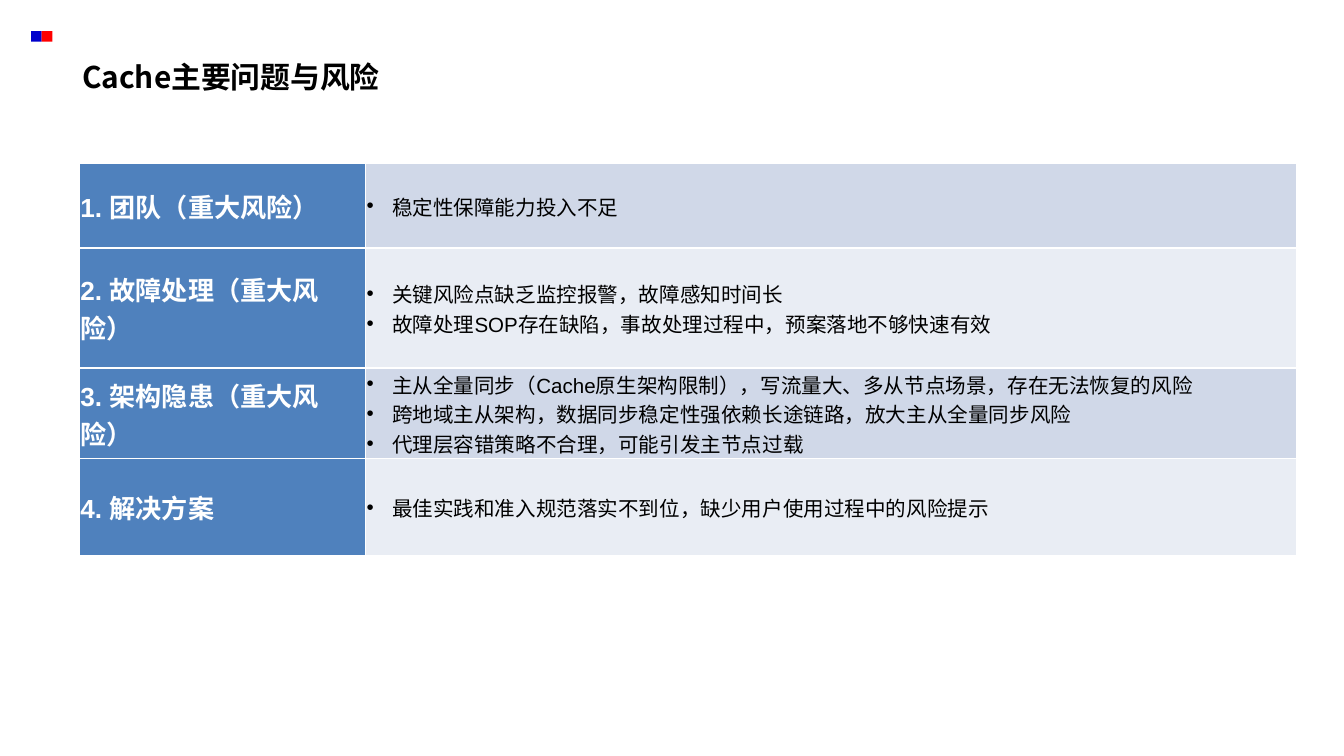
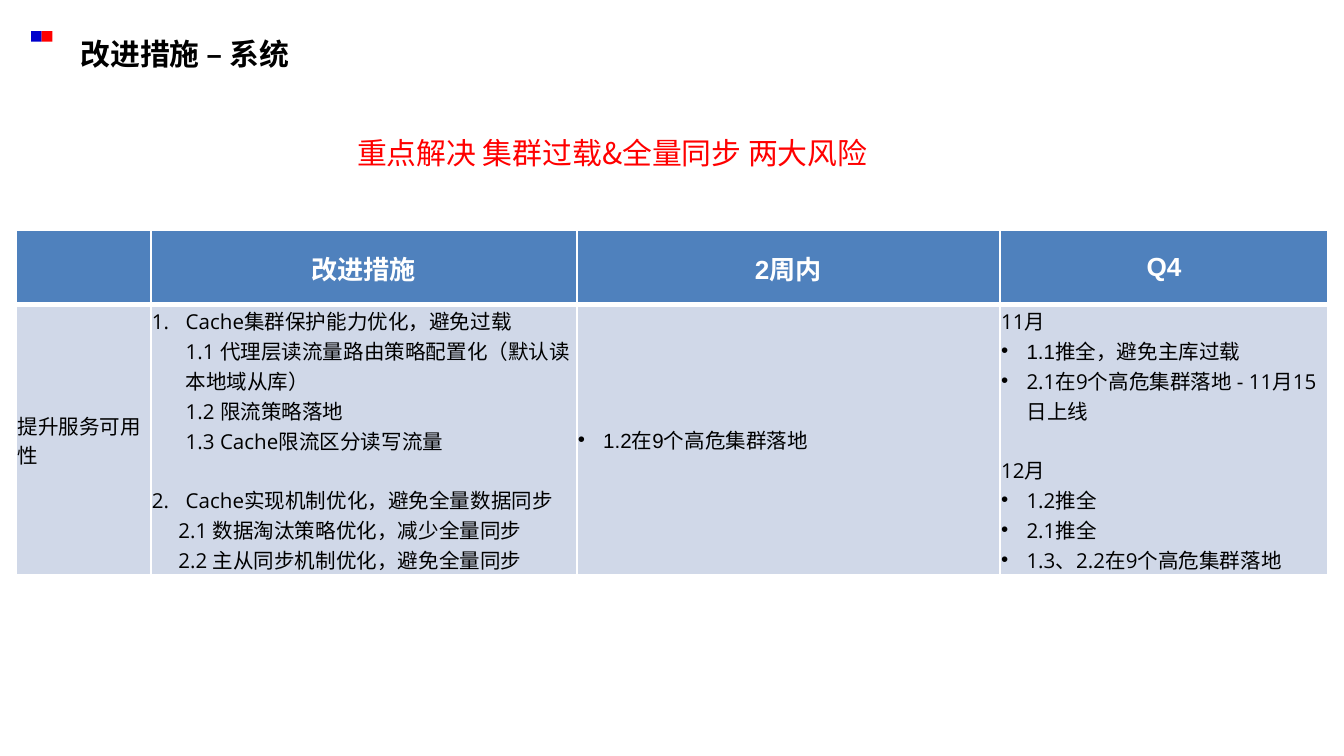
import copy

import lxml.etree
import pptx
import pptx.dml.color
import pptx.enum.shapes
import pptx.enum.text
import pptx.oxml.ns
import pptx.util

Cm, Pt, qn = pptx.util.Cm, pptx.util.Pt, pptx.oxml.ns.qn
ANCHOR, ALIGN = pptx.enum.text.MSO_ANCHOR, pptx.enum.text.PP_ALIGN

WHITE, BLACK, RED, NAVY = "FFFFFF", "000000", "FF0000", "0000CC"
BLUE, BAND_DARK, BAND_LIGHT = "4F81BD", "D0D8E8", "E9EDF4"
CJK, SANS, OPEN = "Noto Sans CJK SC", "Arial", "Open Sans"
HEAD = {"size": Pt(14), "bold": True}
BODY = {"size": Pt(11), "bold": False}
TITLE = {"size": Pt(16), "bold": True, "name": CJK}
NOTE = {"size": Pt(16), "bold": False, "name": CJK}
INSETS = {"margin_left": Cm(0.02), "margin_right": Cm(0.02),
          "margin_top": Cm(0.02), "margin_bottom": Cm(0)}
# Paragraph marks: left margin and first-line indent in cm
INDENTS = {"": (0, 0), "sub": (0.5, 0), "•": (0.48, -0.48),
           "1": (0.64, -0.64), "2": (0.64, -0.64)}
GAP = Pt(15.5)  # one empty line between groups of points


def rgb(value):
    """Turn a hex string into a colour."""
    return pptx.dml.color.RGBColor.from_string(value)


def write(p, text, formats, color):
    """Put text in a paragraph and format its runs and line breaks."""
    p.text = text
    for r in p.runs:
        for name, value in formats.items():
            setattr(r.font, name, value)
        r.font.color.rgb = rgb(color)
        ea = lxml.etree.SubElement(r.font._element, qn("a:ea"))
        ea.set("typeface", CJK)
    for br in p._p.findall(qn("a:br")):
        br.insert(0, copy.deepcopy(p.runs[0].font._element))


# Each body cell is a list of (text, mark, font, space before)
risks = [
    ("1. 团队（重大风险）", ["稳定性保障能力投入不足"]),
    ("2. 故障处理（重大风险）", ["关键风险点缺乏监控报警，故障感知时间长",
                       "故障处理SOP存在缺陷，事故处理过程中，预案落地不够快速有效"]),
    ("3. 架构隐患（重大风险）", ["主从全量同步（Cache原生架构限制），写流量大、多从节点场景，存在无法恢复的风险",
                       "跨地域主从架构，数据同步稳定性强依赖长途链路，放大主从全量同步风险",
                       "代理层容错策略不合理，可能引发主节点过载"]),
    ("4. 解决方案", ["最佳实践和准入规范落实不到位，缺少用户使用过程中的风险提示"]),
]
risk_rows = [[[(label, "", SANS, 0)], [(t, "•", SANS, 0) for t in points]]
             for label, points in risks]

measures = [
    ("Cache集群保护能力优化，避免过载\n1.1 代理层读流量路由策略配置化（默认读本地域从库）\n"
     "1.2 限流策略落地\n1.3 Cache限流区分读写流量", "1", OPEN, 0),
    ("Cache实现机制优化，避免全量数据同步", "2", OPEN, GAP),
    ("2.1 数据淘汰策略优化，减少全量同步", "sub", OPEN, 0),
    ("2.2 主从同步机制优化，避免全量同步", "sub", OPEN, 0),
]
fourth_quarter = [
    ("11月", "", OPEN, 0),
    ("1.1推全，避免主库过载", "•", SANS, 0),
    ("2.1在9个高危集群落地 - 11月15日上线", "•", OPEN, 0),
    ("12月", "", OPEN, GAP),
    ("1.2推全", "•", OPEN, 0),
    ("2.1推全", "•", OPEN, 0),
    ("1.3、2.2在9个高危集群落地", "•", OPEN, 0),
]
plan_rows = [
    [[(t, "", SANS, 0)] for t in ("", "改进措施", "2周内", "Q4")],
    [[("提升服务可用性", "", SANS, 0)], measures,
     [("1.2在9个高危集群落地", "•", SANS, 0)], fourth_quarter],
]

pages = [
    {"title": "Cache主要问题与风险", "title_at": (1.3, 0.74), "table_at": (1.5, 3.08),
     "cols": (5.41, 17.6), "heights": (1.6, 2.27, 1.71, 1.83),
     "rows": risk_rows, "header_row": False},
    {"title": "改进措施 – 系统", "title_at": (1.27, 0.3), "table_at": (0.31, 4.35),
     "cols": (2.54, 8.05, 8, 6.2), "heights": (1.4, 5.08),
     "rows": plan_rows, "header_row": True},
]

prs = pptx.Presentation()
prs.slide_width, prs.slide_height = Cm(25.4), Cm(14.28)

for page in pages:
    slide = prs.slides.add_slide(prs.slide_layouts[5])

    # Two-colour corner mark
    mark = slide.shapes.add_group_shape()
    for i, color in enumerate((NAVY, RED)):
        sp = mark.shapes.add_shape(pptx.enum.shapes.MSO_SHAPE.RECTANGLE,
                                   Cm(0.59 + 0.2 * i), Cm(0.59), Cm(0.2), Cm(0.2))
        sp.shadow.inherit = False
        sp.fill.solid()
        sp.fill.fore_color.rgb = rgb(color)
        sp.line.fill.background()

    # Title
    sp = slide.shapes.title
    sp.left, sp.top = (Cm(v) for v in page["title_at"])
    sp.width, sp.height = Cm(12.42), Cm(1.42)
    tf = sp.text_frame
    tf.vertical_anchor = ANCHOR.MIDDLE
    write(tf.paragraphs[0], page["title"], TITLE, BLACK)
    tf.paragraphs[0].alignment = ALIGN.LEFT

    # Table
    rows, cols, heights = page["rows"], page["cols"], page["heights"]
    left, top = page["table_at"]
    table = slide.shapes.add_table(len(rows), len(cols), Cm(left), Cm(top),
                                   Cm(sum(cols)), Cm(sum(heights))).table
    for column, width in zip(table.columns, cols):
        column.width = Cm(width)
    for row, height in zip(table.rows, heights):
        row.height = Cm(height)

    for i, row in enumerate(rows):
        for j, paragraphs in enumerate(row):
            cell = table.cell(i, j)
            header_row = page["header_row"]
            is_head = i == 0 if header_row else j == 0
            band = BAND_DARK if header_row or i % 2 == 0 else BAND_LIGHT
            cell.fill.solid()
            cell.fill.fore_color.rgb = rgb(BLUE if is_head else band)
            cell.vertical_anchor = ANCHOR.MIDDLE
            for name, value in INSETS.items():
                setattr(cell, name, value)

            # White borders, thicker under a header row
            thick = {(0, "lnB"), (1, "lnT")} if header_row else set()
            for n, side in enumerate(("lnL", "lnR", "lnT", "lnB")):
                ln = lxml.etree.Element(qn("a:" + side))
                ln.set("w", str(Pt(3 if (i, side) in thick else 1)))
                solid = lxml.etree.SubElement(ln, qn("a:solidFill"))
                lxml.etree.SubElement(solid, qn("a:srgbClr")).set("val", WHITE)
                cell._tc.get_or_add_tcPr().insert(n, ln)

            tf = cell.text_frame
            for n, (text, sign, font, gap) in enumerate(paragraphs):
                p = tf.add_paragraph() if n else tf.paragraphs[0]
                write(p, text, {**(HEAD if is_head else BODY), "name": font},
                      WHITE if is_head else BLACK)
                p.alignment = ALIGN.CENTER if is_head and header_row else ALIGN.LEFT
                p.space_before = Pt(0) if not gap else gap
                pPr = p._p.get_or_add_pPr()
                for name, value in zip(("marL", "indent"), INDENTS[sign]):
                    pPr.set(name, str(Cm(value)))
                if sign == "•":
                    lxml.etree.SubElement(pPr, qn("a:buFont")).set("typeface", SANS)
                    lxml.etree.SubElement(pPr, qn("a:buChar")).set("char", sign)
                elif sign.isdigit():
                    number = lxml.etree.SubElement(pPr, qn("a:buAutoNum"))
                    number.set("type", "arabicPeriod")
                    number.set("startAt", sign)

# Key message above the plan table
sp = slide.shapes.add_textbox(Cm(6.5), Cm(2.41), Cm(10.46), Cm(0.94))
tf = sp.text_frame
tf.word_wrap = False
tf.auto_size = pptx.enum.text.MSO_AUTO_SIZE.SHAPE_TO_FIT_TEXT
write(tf.paragraphs[0], "重点解决 集群过载&全量同步 两大风险", NOTE, RED)

prs.save("out.pptx")
